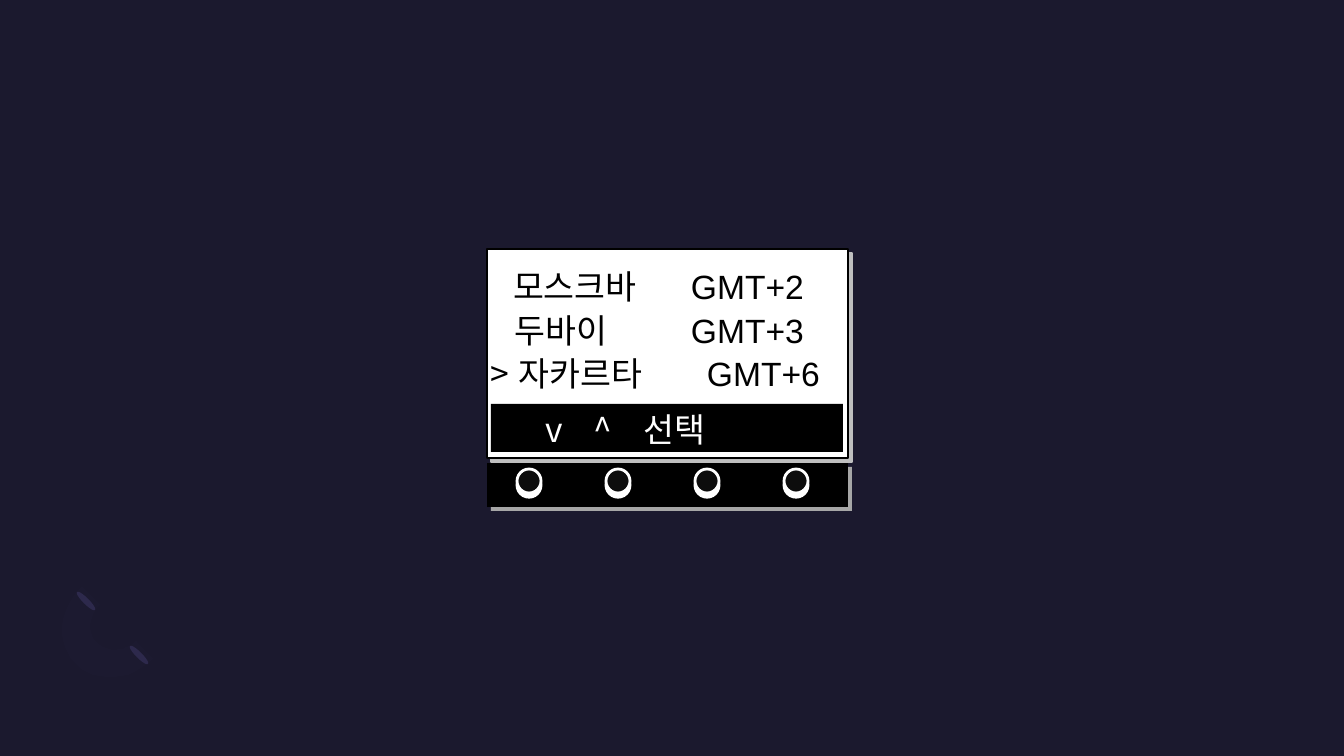
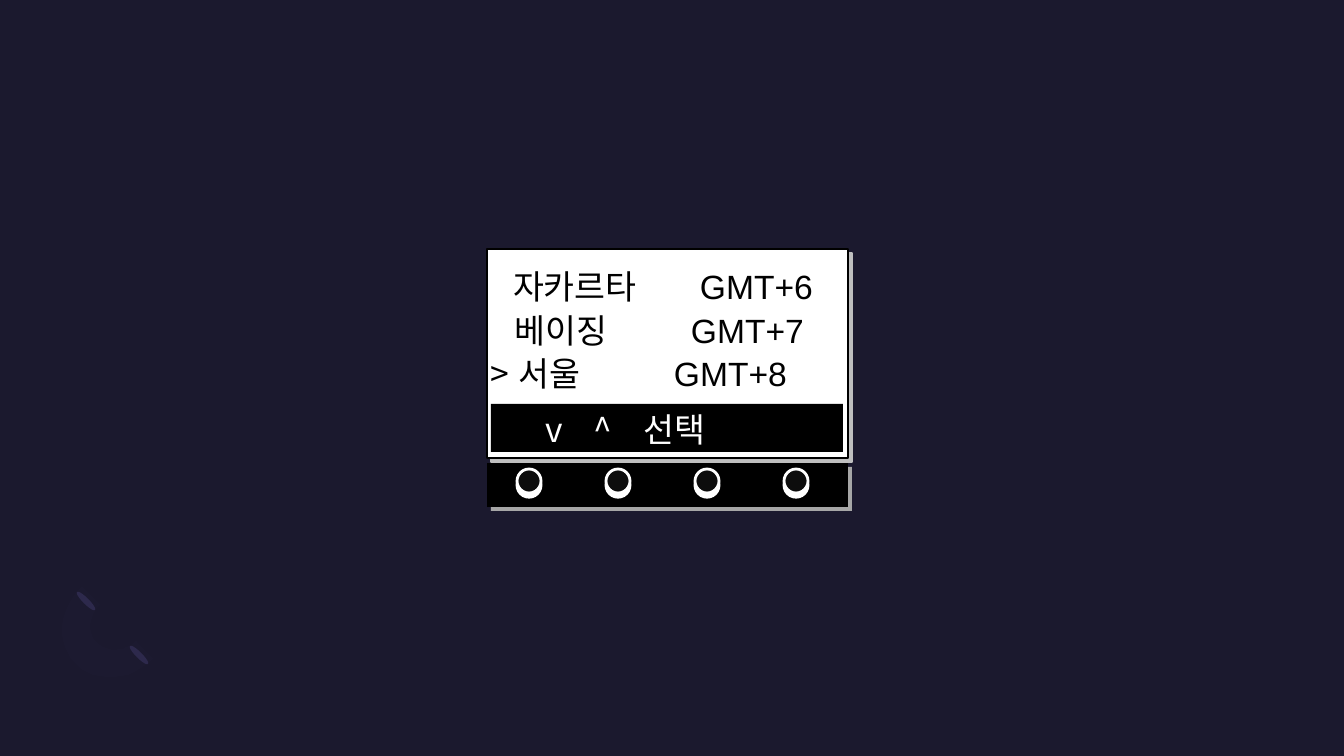
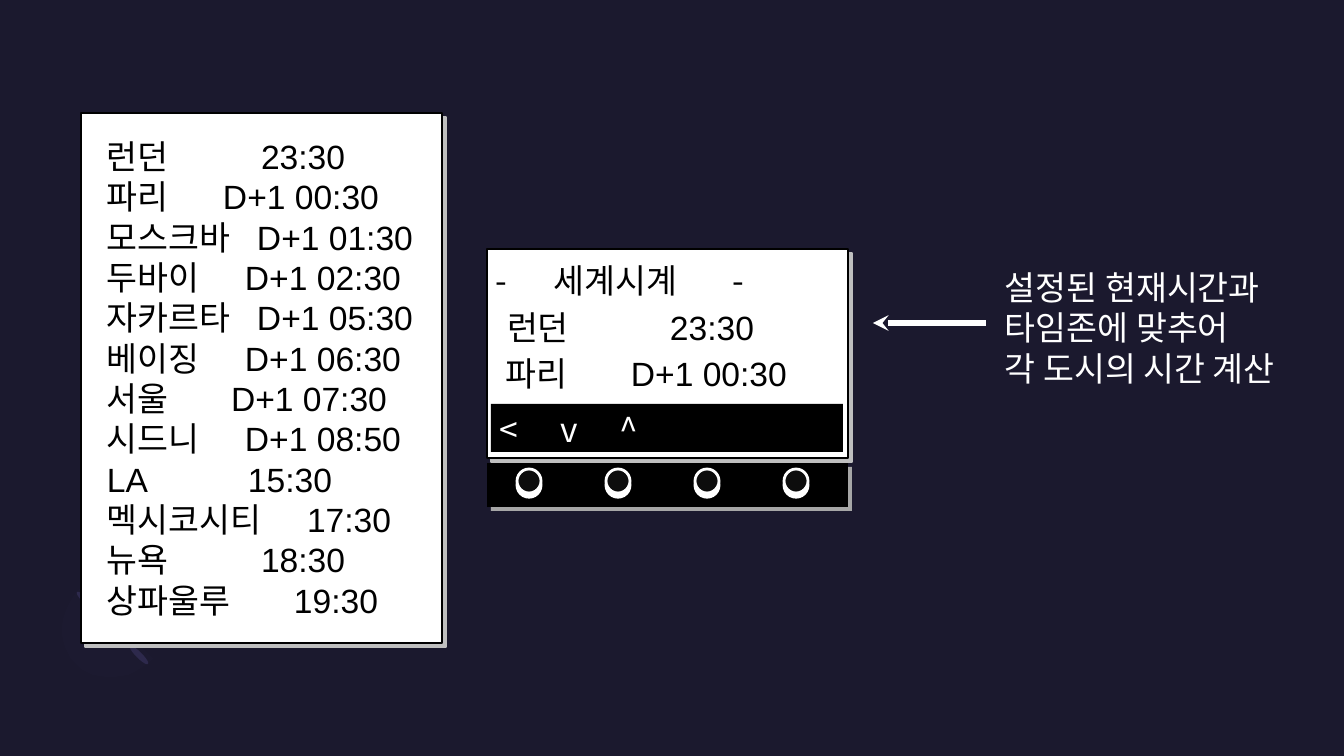
from dataclasses import dataclass
from typing import Optional

from lxml import etree
from pptx import Presentation
from pptx.dml.color import RGBColor
from pptx.enum.shapes import MSO_CONNECTOR, MSO_SHAPE
from pptx.oxml.ns import qn
from pptx.util import Emu, Pt

SCALE = 914400 / 100.8
RECTANGLE = MSO_SHAPE.RECTANGLE
OVAL = MSO_SHAPE.OVAL
STRAIGHT = MSO_CONNECTOR.STRAIGHT

NIGHT = RGBColor(0x1B, 0x19, 0x2E)
PETAL = RGBColor(0x2C, 0x28, 0x4A)
LILAC = RGBColor(0x77, 0x71, 0xB2)
WHITE = RGBColor(0xFF, 0xFF, 0xFF)
BLACK = RGBColor(0x00, 0x00, 0x00)
KNOB = RGBColor(0x0D, 0x0D, 0x0D)
PANEL_SHADE = RGBColor(0xBF, 0xBF, 0xBF)
BAR_SHADE = RGBColor(0xA6, 0xA6, 0xA6)

KOREAN = "Noto Sans CJK KR"
LATIN = "Arial"
TEXT_SIZE = Pt(24)
LINE_SPACING = Pt(28.8)
LINE_HEIGHT = 40


@dataclass(frozen=True)
class Area:
    left: int
    top: int
    width: int
    height: int


@dataclass(frozen=True)
class Shadow:
    color: RGBColor
    distance: int
    angle: int


@dataclass(frozen=True)
class Cell:
    """A piece of a line that starts at a fixed distance from the slide's left edge."""
    left: int
    text: str
    font: str = KOREAN


Line = tuple[Cell, ...]


@dataclass(frozen=True)
class Screen:
    tops: tuple[int, ...]
    lines: tuple[Line, ...]
    menu: Line


PANEL = Area(487, 249, 361, 209)
MENU_BAND = Area(491, 404, 352, 48)
BUTTON_BAR = Area(487, 463, 361, 44)
CITY_PANEL = Area(81, 113, 361, 530)
MENU_TOP = 409
KNOB_COUNT, KNOB_LEFT, KNOB_STEP = 4, 517, 89
PETALS = (Area(136, 642, 6, 26), Area(83, 588, 6, 26))
PANEL_SHADOW = Shadow(PANEL_SHADE, 4, 45)
BAR_SHADOW = Shadow(BAR_SHADE, 4, 45)
KNOB_SHADOW = Shadow(WHITE, 3, 90)

ZONE_TOPS = (266, 310, 353)
ZONE_MENU = (Cell(546, "v"), Cell(594, "^"), Cell(644, "선택"))
SCREENS = (
    Screen(ZONE_TOPS, (
        (Cell(513, "모스크바"), Cell(691, "GMT+2", LATIN)),
        (Cell(515, "두바이"), Cell(691, "GMT+3", LATIN)),
        (Cell(491, ">"), Cell(519, "자카르타"), Cell(707, "GMT+6", LATIN)),
    ), ZONE_MENU),
    Screen(ZONE_TOPS, (
        (Cell(513, "자카르타"), Cell(700, "GMT+6", LATIN)),
        (Cell(515, "베이징"), Cell(691, "GMT+7", LATIN)),
        (Cell(491, ">"), Cell(519, "서울"), Cell(674, "GMT+8", LATIN)),
    ), ZONE_MENU),
    Screen((260, 307, 353), (
        (Cell(496, "-"), Cell(554, "세계시계"), Cell(733, "-")),
        (Cell(507, "런던"), Cell(670, "23:30", LATIN)),
        (Cell(506, "파리"), Cell(631, "D+1 00:30", LATIN)),
    ), (Cell(500, "<"), Cell(561, "v"), Cell(619, "^"))),
)
CITY_LEFT, CITY_TOP, CITY_RIGHT = 107, 136, 430
CITY_TIMES = (
    ("런던", 261, "23:30"),
    ("파리", 223, "D+1 00:30"),
    ("모스크바", 257, "D+1 01:30"),
    ("두바이", 245, "D+1 02:30"),
    ("자카르타", 257, "D+1 05:30"),
    ("베이징", 245, "D+1 06:30"),
    ("서울", 231, "D+1 07:30"),
    ("시드니", 245, "D+1 08:50"),
    ("LA", 248, "15:30"),
    ("멕시코시티", 307, "17:30"),
    ("뉴욕", 261, "18:30"),
    ("상파울루", 294, "19:30"),
)
CALLOUT = ("설정된 현재시간과", "타임존에 맞추어", "각 도시의 시간 계산")


def px(length: float) -> Emu:
    return Emu(round(length * SCALE))


def add_block(slide, kind, area: Area, fill: RGBColor, line: Optional[RGBColor] = None,
              weight: int = 1, shadow: Optional[Shadow] = None):
    block = slide.shapes.add_shape(
        kind, px(area.left), px(area.top), px(area.width), px(area.height))
    block.fill.solid()
    block.fill.fore_color.rgb = fill
    if line is None:
        block.line.fill.background()
    else:
        block.line.color.rgb = line
        block.line.width = Pt(weight)
    block.shadow.inherit = False
    if shadow is not None:
        effects = block._element.spPr.find(qn("a:effectLst"))
        outer = etree.SubElement(effects, qn("a:outerShdw"), {
            "blurRad": "0", "dist": str(Pt(shadow.distance)),
            "dir": str(shadow.angle * 60000), "algn": "tl", "rotWithShape": "0"})
        etree.SubElement(outer, qn("a:srgbClr"), val=str(shadow.color))
    return block


def add_lines(slide, top: int, right: int, lines: tuple[Line, ...], color: RGBColor) -> None:
    """Write lines in one box, with a tab stop for each cell after the first."""
    left = lines[0][0].left
    box = slide.shapes.add_textbox(
        px(left), px(top), px(right - left), px(LINE_HEIGHT * len(lines)))
    frame = box.text_frame
    frame.word_wrap = True
    frame.margin_left = frame.margin_right = frame.margin_top = frame.margin_bottom = 0
    for index, line in enumerate(lines):
        para = frame.paragraphs[0] if index == 0 else frame.add_paragraph()
        para.line_spacing = LINE_SPACING
        if len(line) > 1:
            stops = etree.SubElement(para._p.get_or_add_pPr(), qn("a:tabLst"))
            for cell in line[1:]:
                etree.SubElement(stops, qn("a:tab"), pos=str(px(cell.left - left)), algn="l")
        for position, cell in enumerate(line):
            span = para.add_run()
            span.text = "\t" + cell.text if position else cell.text
            span.font.size = TEXT_SIZE
            span.font.name = cell.font
            span.font.color.rgb = color
            etree.SubElement(span._r.get_or_add_rPr(), qn("a:ea"), typeface=KOREAN)


def curve(start, first, second, end, steps: int = 12) -> list[tuple[float, float]]:
    """Points of a cubic curve, without its start."""
    points = []
    for step in range(1, steps + 1):
        t = step / steps
        weights = ((1 - t) ** 3, 3 * t * (1 - t) ** 2, 3 * t * t * (1 - t), t ** 3)
        corners = (start, first, second, end)
        points.append(tuple(
            sum(w * corner[axis] for w, corner in zip(weights, corners)) for axis in (0, 1)))
    return points


def add_ornament(slide) -> None:
    for area in PETALS:
        add_block(slide, OVAL, area, PETAL).rotation = 135
    outline = [
        *curve((76, 664), (56, 644), (58, 610), (82, 587)),
        *curve((100, 605), (88, 616), (87, 634), (97, 643)),
        *curve((97, 643), (107, 653), (124, 652), (136, 641)),
        *curve((153, 659), (131, 681), (96, 684), (76, 664)),
    ]
    outline.insert(12, (100, 605))
    outline.insert(37, (153, 659))
    builder = slide.shapes.build_freeform(76, 664, scale=SCALE)
    builder.add_line_segments(outline, close=True)
    ring = builder.convert_to_shape()
    ring.shadow.inherit = False
    ring.line.fill.background()
    ring.fill.solid()
    ring.fill.fore_color.rgb = LILAC
    tint = ring._element.spPr.find(qn("a:solidFill")).find(qn("a:srgbClr"))
    etree.SubElement(tint, qn("a:alpha"), val="2000")


def add_device(slide, screen: Screen) -> None:
    add_block(slide, RECTANGLE, PANEL, WHITE, BLACK, shadow=PANEL_SHADOW)
    add_block(slide, RECTANGLE, MENU_BAND, BLACK)
    add_block(slide, RECTANGLE, BUTTON_BAR, BLACK, shadow=BAR_SHADOW)
    for index in range(KNOB_COUNT):
        area = Area(KNOB_LEFT + index * KNOB_STEP, 469, 24, 24)
        add_block(slide, OVAL, area, KNOB, WHITE, 2, KNOB_SHADOW)
    right = PANEL.left + PANEL.width
    for top, line in zip(screen.tops, screen.lines):
        add_lines(slide, top, right, (line,), BLACK)
    add_lines(slide, MENU_TOP, right, (screen.menu,), WHITE)


def add_city_times(slide) -> None:
    add_block(slide, RECTANGLE, CITY_PANEL, WHITE, BLACK, shadow=PANEL_SHADOW)
    lines = tuple(
        (Cell(CITY_LEFT, city, LATIN if city.isascii() else KOREAN), Cell(left, time, LATIN))
        for city, left, time in CITY_TIMES)
    add_lines(slide, CITY_TOP, CITY_RIGHT, lines, BLACK)


def add_callout(slide) -> None:
    arrow = slide.shapes.add_connector(STRAIGHT, px(986), px(323), px(873), px(323))
    arrow.line.color.rgb = WHITE
    arrow.line.width = Pt(3.75)
    etree.SubElement(arrow.line._get_or_add_ln(), qn("a:tailEnd"), type="stealth")
    etree.SubElement(arrow._element.spPr, qn("a:effectLst"))
    add_lines(slide, 267, 1334, tuple((Cell(1005, text),) for text in CALLOUT), WHITE)


def main() -> None:
    deck = Presentation()
    deck.slide_width, deck.slide_height = px(1344), px(756)
    background = deck.slide_master.background.fill
    background.solid()
    background.fore_color.rgb = NIGHT
    for screen in SCREENS:
        page = deck.slides.add_slide(deck.slide_layouts[6])
        add_ornament(page)
        add_device(page, screen)
    add_city_times(page)
    add_callout(page)
    deck.save("out.pptx")


if __name__ == "__main__":
    main()
